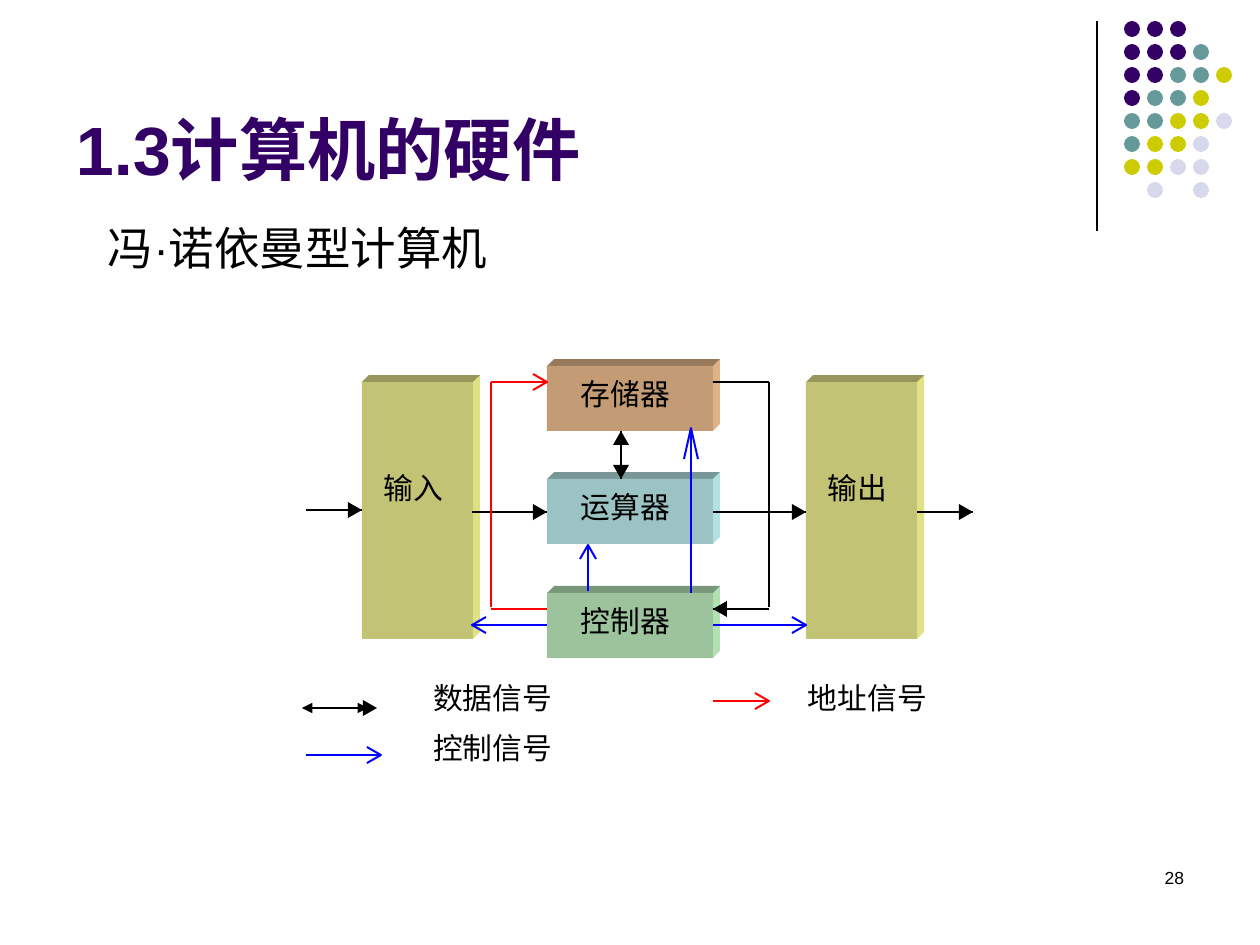
from dataclasses import dataclass
from math import hypot

from lxml import etree
from pptx import Presentation
from pptx.dml.color import RGBColor
from pptx.enum.shapes import MSO_CONNECTOR, MSO_SHAPE
from pptx.enum.text import MSO_ANCHOR, MSO_AUTO_SIZE, PP_ALIGN
from pptx.oxml.ns import qn
from pptx.util import Pt

EMU_PER_PX = 914400 / 126
STRAIGHT = MSO_CONNECTOR.STRAIGHT
OVAL = MSO_SHAPE.OVAL
RECTANGLE = MSO_SHAPE.RECTANGLE
LEFT, RIGHT = PP_ALIGN.LEFT, PP_ALIGN.RIGHT
TOP, BOTTOM = MSO_ANCHOR.TOP, MSO_ANCHOR.BOTTOM
NO_FIT = MSO_AUTO_SIZE.NONE


@dataclass(frozen=True)
class Theme:
    latin: str = "Arial"
    asian: str = "Noto Sans CJK SC"
    title_size: int = 39
    body_size: int = 26
    label_size: int = 17
    number_size: int = 10
    thin: float = 0.75
    stroke: float = 1.13
    title: str = "330066"
    data: str = "000000"
    address: str = "FF0000"
    control: str = "0000FF"
    memory: tuple = ("C39C75", "97795B", "E0B386")
    arithmetic: tuple = ("9CC3C3", "799797", "B3E0E0")
    controller: tuple = ("9CC39C", "799779", "B3E0B3")
    device: tuple = ("C3C375", "97975B", "E0E086")


THEME = Theme()
DOT_COLORS = {"P": "330066", "T": "669999", "Y": "CCCC00", "L": "D8D8EC"}
DOT_ROWS = ("PPP", "PPPT", "PPTTY", "PTTY", "TTYYL", "TYYL", "YYLL", ".L.L")
BLOCK_DEPTH = 7


def px(length):
    return round(length * EMU_PER_PX)


def rgb(color):
    return RGBColor.from_string(color)


def paint(shape, fill=None, line=None):
    shape.shadow.inherit = False
    if fill:
        shape.fill.solid()
        shape.fill.fore_color.rgb = rgb(fill)
    else:
        shape.fill.background()
    if line:
        shape.line.color.rgb = rgb(line)
        shape.line.width = Pt(THEME.stroke)
    else:
        shape.line.fill.background()


def write(box, text, size, color=THEME.data, font=THEME.latin, bold=False,
          align=LEFT, anchor=TOP, wrap=True, inset=(13, 6), space_before=0):
    frame = box.text_frame
    frame.auto_size = NO_FIT
    frame.word_wrap = wrap
    frame.vertical_anchor = anchor
    frame.margin_left = frame.margin_right = px(inset[0])
    frame.margin_top = frame.margin_bottom = px(inset[1])
    para = frame.paragraphs[0]
    para.alignment = align
    para.space_before = Pt(space_before)
    span = para.add_run()
    span.text = text
    span.font.size = Pt(size)
    span.font.bold = bold
    span.font.name = font
    span.font.color.rgb = rgb(color)
    asian = etree.SubElement(span.font._element, qn("a:ea"))
    asian.set("typeface", THEME.asian)
    return para


def place(box, left, top, width, height):
    box.left, box.top, box.width, box.height = map(px, (left, top, width, height))


def add_label(page, text, left, top):
    box = page.shapes.add_textbox(px(left), px(top), px(30 * len(text)), px(35))
    write(box, text, THEME.label_size, font=THEME.asian, wrap=False, inset=(0, 0))


def add_preset(shapes, kind, left, top, width, height, fill):
    shape = shapes.add_shape(kind, px(left), px(top), px(width), px(height))
    paint(shape, fill)


def add_outline(shapes, points, fill=None, line=None):
    builder = shapes.build_freeform(*points[0], scale=EMU_PER_PX)
    builder.add_line_segments(points[1:], close=fill is not None)
    paint(builder.convert_to_shape(), fill, line)


def add_line(shapes, start, end, color, width=THEME.stroke, ends=()):
    line = shapes.add_connector(STRAIGHT, *map(px, (*start, *end)))
    line.line.color.rgb = rgb(color)
    line.line.width = Pt(width)
    for end_tag in ends:
        etree.SubElement(line.line._get_or_add_ln(), qn(end_tag)).set("type", "triangle")
    etree.SubElement(line._element.spPr, qn("a:effectLst"))


def add_head(shapes, start, tip, color, filled, length=14, half=8):
    dx, dy = tip[0] - start[0], tip[1] - start[1]
    reach = hypot(dx, dy)
    dx, dy = dx / reach, dy / reach
    back = tip[0] - length * dx, tip[1] - length * dy
    points = [(back[0] - half * dy, back[1] + half * dx), tip,
              (back[0] + half * dy, back[1] - half * dx)]
    add_outline(shapes, points, color if filled else None, None if filled else color)


def add_arrow(page, start, tip, color, double=False, **head):
    shapes = page.shapes.add_group_shape().shapes
    filled = color == THEME.data
    add_line(shapes, start, tip, color)
    add_head(shapes, start, tip, color, filled, **head)
    if double:
        add_head(shapes, tip, start, color, filled, **head)


def add_block(page, text, left, top, width, height, colors, label_offset):
    front, lid, side = colors
    right, bottom, depth = left + width, top + height, BLOCK_DEPTH
    shapes = page.shapes.add_group_shape().shapes
    add_outline(shapes, [(right, bottom), (right, top), (right + depth, top - depth),
                         (right + depth, bottom - depth)], side)
    add_outline(shapes, [(right, top), (left, top), (left + depth, top - depth),
                         (right + depth, top - depth)], lid)
    add_preset(shapes, RECTANGLE, left, top, width, height, front)
    add_label(page, text, left + label_offset[0], top + label_offset[1])


def add_decoration(page):
    add_line(page.shapes, (1097, 21), (1097, 231), THEME.data, THEME.thin)
    shapes = page.shapes.add_group_shape().shapes
    for row, codes in enumerate(DOT_ROWS):
        for column, code in enumerate(codes):
            if code in DOT_COLORS:
                add_preset(shapes, OVAL, 1124 + 23 * column, 21 + 23 * row,
                           16, 16, DOT_COLORS[code])


def add_headings(page):
    title, body = page.placeholders
    place(title, 63, 16, 1040, 179)
    write(title, "1.3计算机的硬件", THEME.title_size, THEME.title, bold=True, anchor=BOTTOM)
    place(body, 95, 214, 557, 607)
    para = write(body, "冯·诺依曼型计算机", THEME.body_size, space_before=6.5)
    properties = para._p.get_or_add_pPr()
    properties.set("marL", str(px(79)))
    properties.set("indent", str(px(-79)))
    etree.SubElement(properties, qn("a:buNone"))
    number = page.shapes.add_textbox(0, 0, 0, 0)
    place(number, 903, 861, 294, 63)
    write(number, "28", THEME.number_size, align=RIGHT)


def add_machine(page):
    units = (("存储器", THEME.memory), ("运算器", THEME.arithmetic), ("控制器", THEME.controller))
    for row, (text, colors) in enumerate(units):
        add_block(page, text, 547, 366 + 113 * row + row // 2, 166, 65, colors, (34, 10))
    for text, left in (("输入", 362), ("输出", 806)):
        add_block(page, text, left, 382, 111, 257, THEME.device, (22, 88))


def add_signals(page):
    data, address, control = THEME.data, THEME.address, THEME.control
    for start, tip, color in (
        ((472, 512), (547, 512), data), ((713, 512), (806, 512), data),
        ((306, 510), (362, 510), data), ((917, 512), (973, 512), data),
        ((769, 609), (713, 609), data), ((491, 382), (547, 382), address),
        ((547, 625), (472, 625), control), ((713, 625), (806, 625), control),
        ((588, 591), (588, 545), control),
    ):
        add_arrow(page, start, tip, color)
    add_arrow(page, (621, 479), (621, 431), data, double=True)
    add_arrow(page, (691, 593), (691, 428), control, length=31, half=7)
    for start, end, color in (
        ((713, 382), (769, 382), data), ((769, 382), (769, 607), data),
        ((491, 609), (547, 609), address), ((491, 382), (491, 607), address),
    ):
        add_line(page.shapes, start, end, color)


def add_legend(page):
    for text, left, top in (("数据信号", 433, 680), ("控制信号", 433, 730), ("地址信号", 808, 680)):
        add_label(page, text, left, top)
    shapes = page.shapes.add_group_shape().shapes
    add_line(shapes, (302, 708), (368, 708), THEME.data, ends=("a:headEnd", "a:tailEnd"))
    add_head(shapes, (302, 708), (377, 708), THEME.data, True)
    add_arrow(page, (306, 755), (381, 755), THEME.control)
    add_arrow(page, (713, 701), (769, 701), THEME.address)


def main():
    deck = Presentation()
    deck.slide_width, deck.slide_height = px(1260), px(945)
    page = deck.slides.add_slide(deck.slide_layouts[1])
    add_decoration(page)
    add_headings(page)
    add_machine(page)
    add_signals(page)
    add_legend(page)
    deck.save("out.pptx")


if __name__ == "__main__":
    main()
